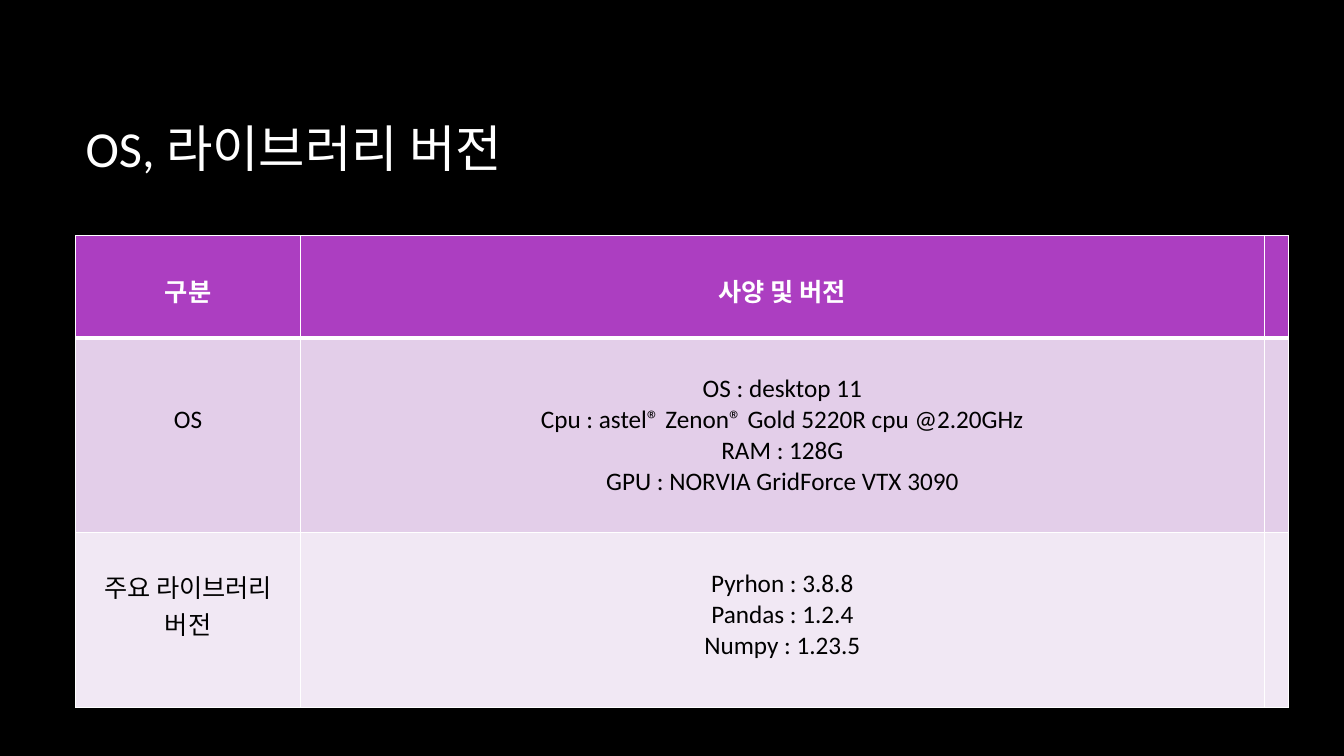
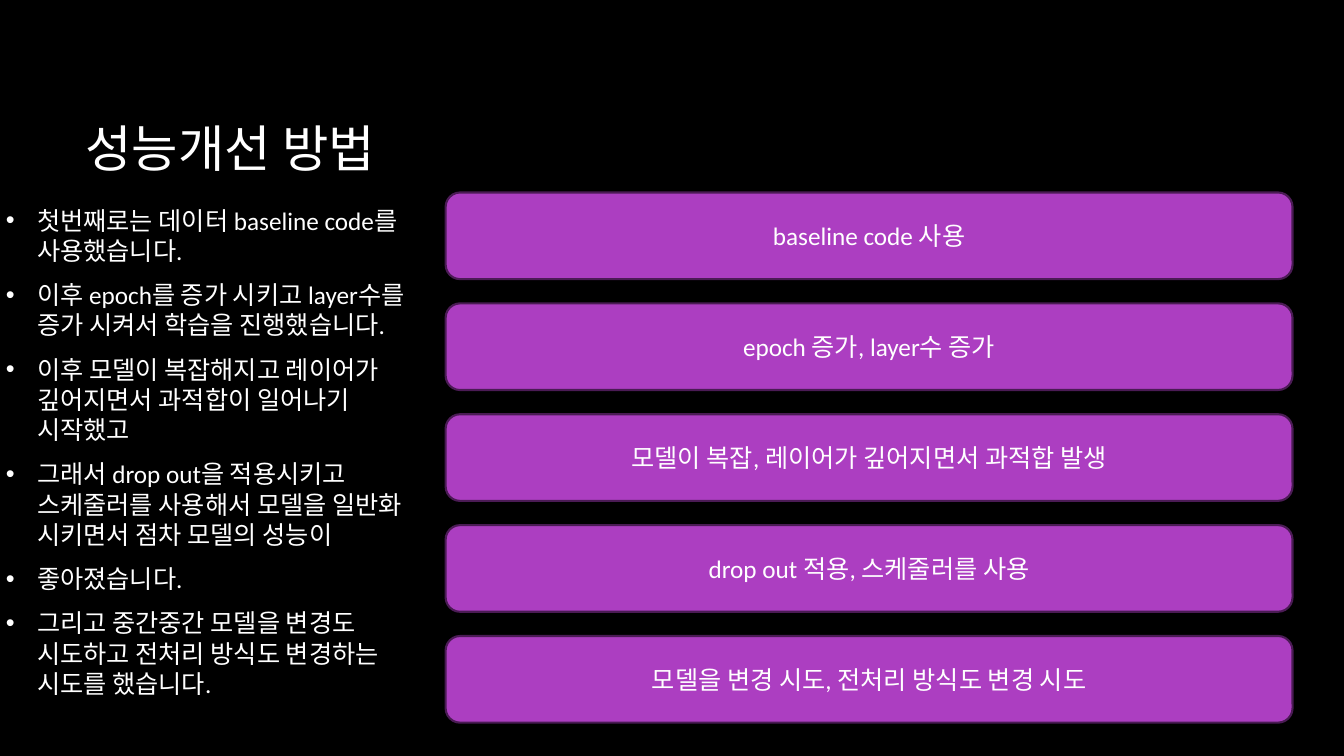
from dataclasses import dataclass

from lxml.etree import SubElement
from pptx import Presentation
from pptx.dml.color import RGBColor
from pptx.enum.shapes import MSO_SHAPE
from pptx.enum.text import MSO_ANCHOR, PP_ALIGN
from pptx.oxml.ns import qn
from pptx.slide import Slide
from pptx.table import _Cell as Cell
from pptx.text.text import TextFrame, _Paragraph as Paragraph
from pptx.util import Inches, Length, Pt

FONT = "Calibri"
BLACK = RGBColor(0x00, 0x00, 0x00)
WHITE = RGBColor(0xFF, 0xFF, 0xFF)
PURPLE = RGBColor(0xAC, 0x3E, 0xC1)
DARK_PURPLE = RGBColor(0x4B, 0x1B, 0x55)
LILAC = RGBColor(0xE3, 0xCE, 0xE9)
PALE_LILAC = RGBColor(0xF1, 0xE8, 0xF4)

TITLE_SIZE = Pt(36)
BODY_SIZE = Pt(18)
THIN = Pt(1)
THICK = Pt(3)


@dataclass(frozen=True)
class Row:
    height: float
    fill: RGBColor
    label: str
    details: tuple[str, ...]
    label_top: float = 0.36
    color: RGBColor = BLACK
    bold: bool = False
    top_line: Length = THIN
    bottom_line: Length = THIN


COLUMN_WIDTHS = (2.23, 9.56, 0.23)
DETAILS_TOP = 0.36
VERSION_ROWS = (
    Row(1.01, PURPLE, "구분", ("사양 및 버전",),
        color=WHITE, bold=True, bottom_line=THICK),
    Row(1.93, LILAC, "OS",
        ("OS : desktop 11",
         "Cpu : astel® Zenon® Gold 5220R cpu @2.20GHz",
         "RAM : 128G",
         "GPU : NORVIA GridForce VTX 3090"),
        label_top=0.66, top_line=THICK),
    Row(1.74, PALE_LILAC, "주요 라이브러리 버전",
        ("Pyrhon : 3.8.8", "Pandas : 1.2.4", "Numpy : 1.23.5")),
)

EXPLANATIONS = (
    "첫번째로는 데이터 baseline code를 사용했습니다.",
    "이후 epoch를 증가 시키고 layer수를 증가 시켜서 학습을 진행했습니다.",
    "이후 모델이 복잡해지고 레이어가 깊어지면서 과적합이 일어나기 시작했고",
    "그래서 drop out을 적용시키고 스케줄러를 사용해서 모델을 일반화 시키면서 "
    "점차 모델의 성능이",
    "좋아졌습니다.",
    "그리고 중간중간 모델을 변경도 시도하고 전처리 방식도 변경하는 시도를 했습니다.",
)

STEPS = (
    "baseline code 사용",
    "epoch 증가, layer수 증가",
    "모델이 복잡, 레이어가 깊어지면서 과적합 발생",
    "drop out 적용, 스케줄러를 사용",
    "모델을 변경 시도, 전처리 방식도 변경 시도",
)
STEP_TOP = 1.91
STEP_PITCH = 1.1


def set_font(paragraph: Paragraph, size: Length, color: RGBColor,
             bold: bool = False) -> None:
    font = paragraph.font
    font.name = FONT
    font.size = size
    font.bold = bold
    font.color.rgb = color


def add_text_frame(slide: Slide, left: float, top: float,
                   width: float, height: float) -> TextFrame:
    """Add a wrapping, vertically centred text box."""
    box = slide.shapes.add_textbox(
        Inches(left), Inches(top), Inches(width), Inches(height))
    frame = box.text_frame
    frame.word_wrap = True
    frame.vertical_anchor = MSO_ANCHOR.MIDDLE
    return frame


def add_titled_slide(presentation: Presentation, title: str) -> Slide:
    slide = presentation.slides.add_slide(presentation.slide_layouts[6])
    background = slide.background.fill
    background.solid()
    background.fore_color.rgb = BLACK
    frame = add_text_frame(slide, 0.75, 0.67, 11.08, 1.59)
    frame.text = title
    set_font(frame.paragraphs[0], TITLE_SIZE, WHITE)
    return slide


def style_cell(cell: Cell, row: Row) -> None:
    """Give a cell its white borders and then its fill."""
    properties = cell._tc.get_or_add_tcPr()
    borders = {"a:lnL": THIN, "a:lnR": THIN,
               "a:lnT": row.top_line, "a:lnB": row.bottom_line}
    for tag, width in borders.items():
        line = SubElement(properties, qn(tag), w=str(width))
        fill = SubElement(line, qn("a:solidFill"))
        SubElement(fill, qn("a:srgbClr"), val=str(WHITE))
    cell.fill.solid()
    cell.fill.fore_color.rgb = row.fill


def write_cell(cell: Cell, lines: tuple[str, ...], top: float, row: Row) -> None:
    cell.margin_top = Inches(top)
    cell.text = "\n".join(lines)
    for paragraph in cell.text_frame.paragraphs:
        paragraph.alignment = PP_ALIGN.CENTER
        set_font(paragraph, BODY_SIZE, row.color, row.bold)


def add_version_table(slide: Slide) -> None:
    table = slide.shapes.add_table(
        len(VERSION_ROWS), len(COLUMN_WIDTHS), Inches(0.75), Inches(2.34),
        Inches(sum(COLUMN_WIDTHS)),
        Inches(sum(row.height for row in VERSION_ROWS))).table
    table.first_row = False
    table.horz_banding = False
    for column, width in zip(table.columns, COLUMN_WIDTHS):
        column.width = Inches(width)
    for table_row, row in zip(table.rows, VERSION_ROWS):
        table_row.height = Inches(row.height)
        for cell in table_row.cells:
            style_cell(cell, row)
        write_cell(table_row.cells[0], (row.label,), row.label_top, row)
        write_cell(table_row.cells[1], row.details, DETAILS_TOP, row)


def add_bullet(paragraph: Paragraph) -> None:
    properties = paragraph._p.get_or_add_pPr()
    properties.set("marL", str(Inches(0.31)))
    properties.set("indent", str(-Inches(0.31)))
    color = SubElement(properties, qn("a:buClr"))
    SubElement(color, qn("a:srgbClr"), val=str(WHITE))
    SubElement(properties, qn("a:buFont"), typeface="Arial")
    SubElement(properties, qn("a:buChar"), char="•")


def add_explanations(slide: Slide) -> None:
    frame = add_text_frame(slide, -0.04, 2.12, 4.46, 4.72)
    frame.text = "\n".join(EXPLANATIONS)
    for paragraph in frame.paragraphs:
        add_bullet(paragraph)
        paragraph.space_after = Pt(10)
        set_font(paragraph, BODY_SIZE, WHITE)


def add_step(slide: Slide, text: str, top: float) -> None:
    shape = slide.shapes.add_shape(
        MSO_SHAPE.ROUNDED_RECTANGLE,
        Inches(4.42), Inches(top), Inches(8.4), Inches(0.86))
    shape.shadow.inherit = False
    shape.fill.solid()
    shape.fill.fore_color.rgb = PURPLE
    shape.line.color.rgb = DARK_PURPLE
    shape.line.width = Pt(1.5)
    frame = shape.text_frame
    frame.word_wrap = True
    frame.vertical_anchor = MSO_ANCHOR.MIDDLE
    frame.text = text
    paragraph = frame.paragraphs[0]
    paragraph.alignment = PP_ALIGN.CENTER
    set_font(paragraph, BODY_SIZE, WHITE)


def main() -> None:
    presentation = Presentation()
    presentation.slide_width = Inches(13.33)
    presentation.slide_height = Inches(7.5)

    versions = add_titled_slide(presentation, "OS, 라이브러리 버전")
    add_version_table(versions)

    improvements = add_titled_slide(presentation, "성능개선 방법")
    add_explanations(improvements)
    for index, text in enumerate(STEPS):
        add_step(improvements, text, STEP_TOP + index * STEP_PITCH)

    presentation.save("out.pptx")


if __name__ == "__main__":
    main()
